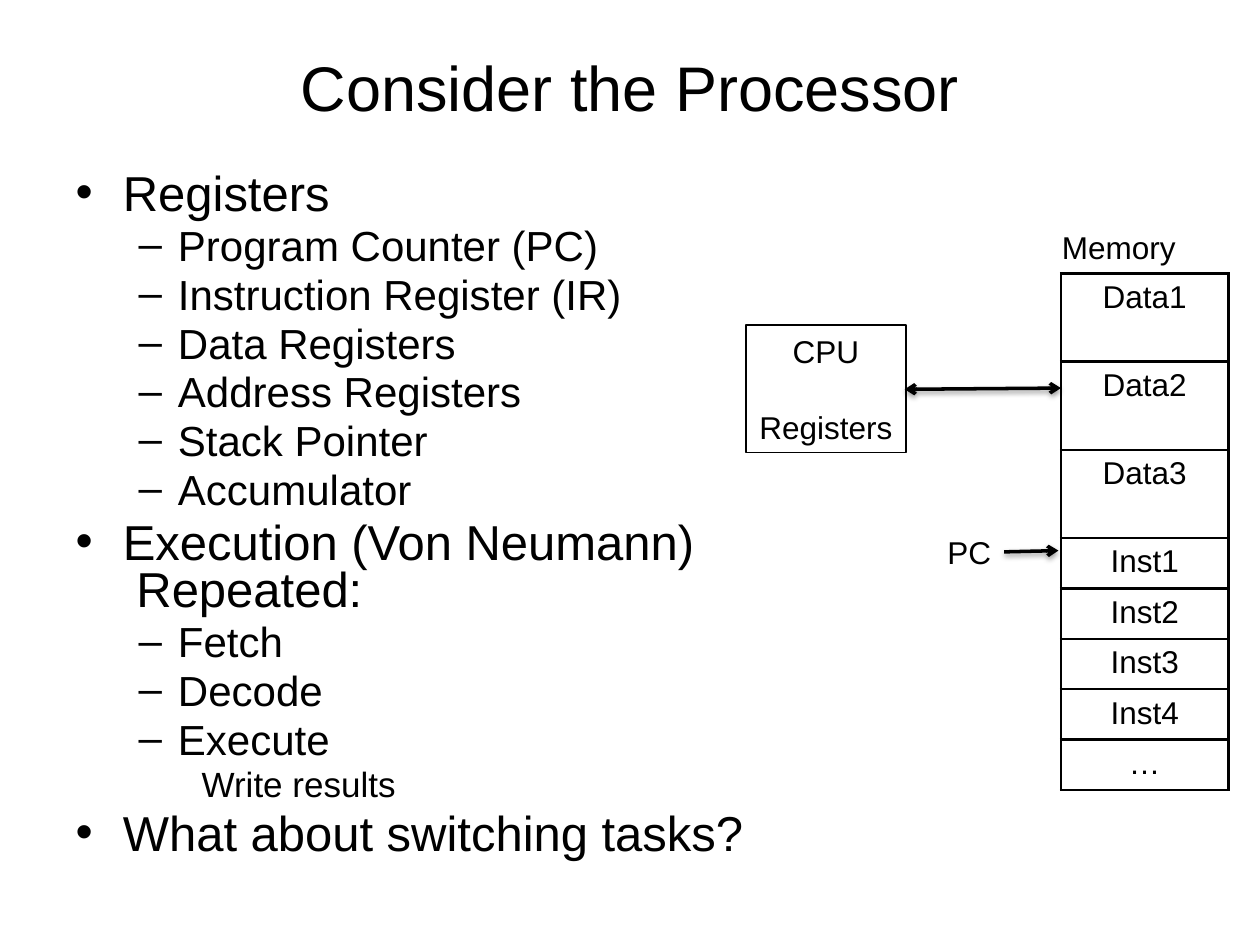
from lxml import etree
from pptx import Presentation
from pptx.dml.color import RGBColor
from pptx.enum.shapes import MSO_CONNECTOR, MSO_SHAPE
from pptx.enum.text import MSO_ANCHOR, MSO_AUTO_SIZE, PP_ALIGN
from pptx.oxml.ns import qn
from pptx.util import Inches, Pt

CENTER, LEFT = PP_ALIGN.CENTER, PP_ALIGN.LEFT
MIDDLE = MSO_ANCHOR.MIDDLE
STRAIGHT, RECT = MSO_CONNECTOR.STRAIGHT, MSO_SHAPE.RECTANGLE
NO_FIT, GROW = MSO_AUTO_SIZE.NONE, MSO_AUTO_SIZE.SHAPE_TO_FIT_TEXT

COLORS = {"ink": "000000"}
FONT = "Arial"
LEVEL_SIZES = [28, 24, 20]

OUTLINE = [
    (0, "Registers"),
    (1, "Program Counter (PC)"),
    (1, "Instruction Register (IR)"),
    (1, "Data Registers"),
    (1, "Address Registers"),
    (1, "Stack Pointer"),
    (1, "Accumulator"),
    (0, "Execution (Von Neumann)\v Repeated:"),
    (1, "Fetch"),
    (1, "Decode"),
    (1, "Execute"),
    (2, "Write results"),
    (0, "What about switching tasks?"),
]
MEMORY = [
    ("Data1", 0.7), ("Data2", 0.7), ("Data3", 0.7),
    ("Inst1", 0.4), ("Inst2", 0.4), ("Inst3", 0.4), ("Inst4", 0.4), ("…", 0.4),
]


def rgb(name):
    return RGBColor.from_string(COLORS[name])


def sub(parent, tag, **attrs):
    return etree.SubElement(parent, qn(tag), {k: str(v) for k, v in attrs.items()})


def place(shape, *box):
    for name, value in zip(("left", "top", "width", "height"), box):
        setattr(shape, name, Inches(value))


def write(p, text, size=18, **fmt):
    """Fill a paragraph; fmt holds paragraph attributes."""
    p.text = text
    for name, value in fmt.items():
        setattr(p, name, value)
    for r in p.runs:
        for name, value in {"size": Pt(size), "name": FONT}.items():
            setattr(r.font, name, value)
        r.font.color.rgb = rgb("ink")
    for br in p._p.findall(qn("a:br")):
        sub(br, "a:rPr", sz=size * 100)


def add_title(s, text):
    title = s.shapes.title
    place(title, 0.25, 0.25, 9.5, 0.87)
    title.text_frame.vertical_anchor = MIDDLE
    write(title.text_frame.paragraphs[0], text, 36, alignment=CENTER)


def add_outline(s):
    body = s.placeholders[1]
    place(body, 0.5, 1.33, 9, 5.5)
    tf = body.text_frame
    tf.auto_size = NO_FIT
    for i, (level, text) in enumerate(OUTLINE):
        p = tf.add_paragraph() if i else tf.paragraphs[0]
        write(p, text, LEVEL_SIZES[level], level=level, line_spacing=0.8)
        if level == 2:
            sub(p._p.get_or_add_pPr(), "a:buNone")


def add_memory(s):
    height = sum(h for _, h in MEMORY)
    frame = s.shapes.add_table(len(MEMORY), 1, Inches(8.42), Inches(2.17),
                               Inches(1.33), Inches(height))
    table = frame.table
    table.first_row = table.horz_banding = False
    for i, (text, h) in enumerate(MEMORY):
        table.rows[i].height = Inches(h)
        cell = table.cell(i, 0)
        write(cell.text_frame.paragraphs[0], text, alignment=CENTER)
        tc_pr = cell._tc.get_or_add_tcPr()
        for side in "LRTB":
            ln = sub(tc_pr, f"a:ln{side}", w=Pt(1.5))
            sub(sub(ln, "a:solidFill"), "a:srgbClr", val=COLORS["ink"])
        cell.fill.background()


def add_cpu(s):
    box = s.shapes.add_shape(RECT, Inches(5.92), Inches(2.58), Inches(1.27), Inches(1.01))
    box.shadow.inherit = False
    box.fill.background()
    box.line.color.rgb = rgb("ink")
    box.line.width = Pt(0.75)
    tf = box.text_frame
    tf.word_wrap = False
    tf.vertical_anchor = MIDDLE
    write(tf.paragraphs[0], "CPU", alignment=CENTER)
    write(tf.add_paragraph(), "Registers", alignment=CENTER, space_before=Pt(21.5))


def add_label(s, text, *box):
    tf = s.shapes.add_textbox(*map(Inches, box)).text_frame
    tf.word_wrap = False
    tf.auto_size = GROW
    write(tf.paragraphs[0], text, alignment=LEFT)


def add_arrow(s, start, end, ends=("tailEnd",)):
    line = s.shapes.add_connector(STRAIGHT, *map(Inches, start + end))
    line.line.color.rgb = rgb("ink")
    line.line.width = Pt(2)
    ln = line.line._get_or_add_ln()
    for name in ends:
        sub(ln, f"a:{name}", type="arrow")
    shadow = sub(sub(line._element.spPr, "a:effectLst"), "a:outerShdw",
                 blurRad=Pt(3.1), dist=Pt(1.6), dir=90 * 60000, rotWithShape=0)
    sub(sub(shadow, "a:srgbClr", val=COLORS["ink"]), "a:alpha", val=38000)


def main():
    prs = Presentation()
    prs.slide_width, prs.slide_height = Inches(10), Inches(7.5)
    s = prs.slides.add_slide(prs.slide_layouts[1])
    add_title(s, "Consider the Processor")
    add_outline(s)
    add_memory(s)
    add_cpu(s)
    add_label(s, "PC", 7.42, 4.18, 0.55, 0.4)
    add_arrow(s, (7.18, 3.09), (8.42, 3.08), ("headEnd", "tailEnd"))
    add_arrow(s, (7.97, 4.38), (8.4, 4.37))
    add_label(s, "Memory", 8.33, 1.76, 1.11, 0.4)
    prs.save("out.pptx")


if __name__ == "__main__":
    main()
